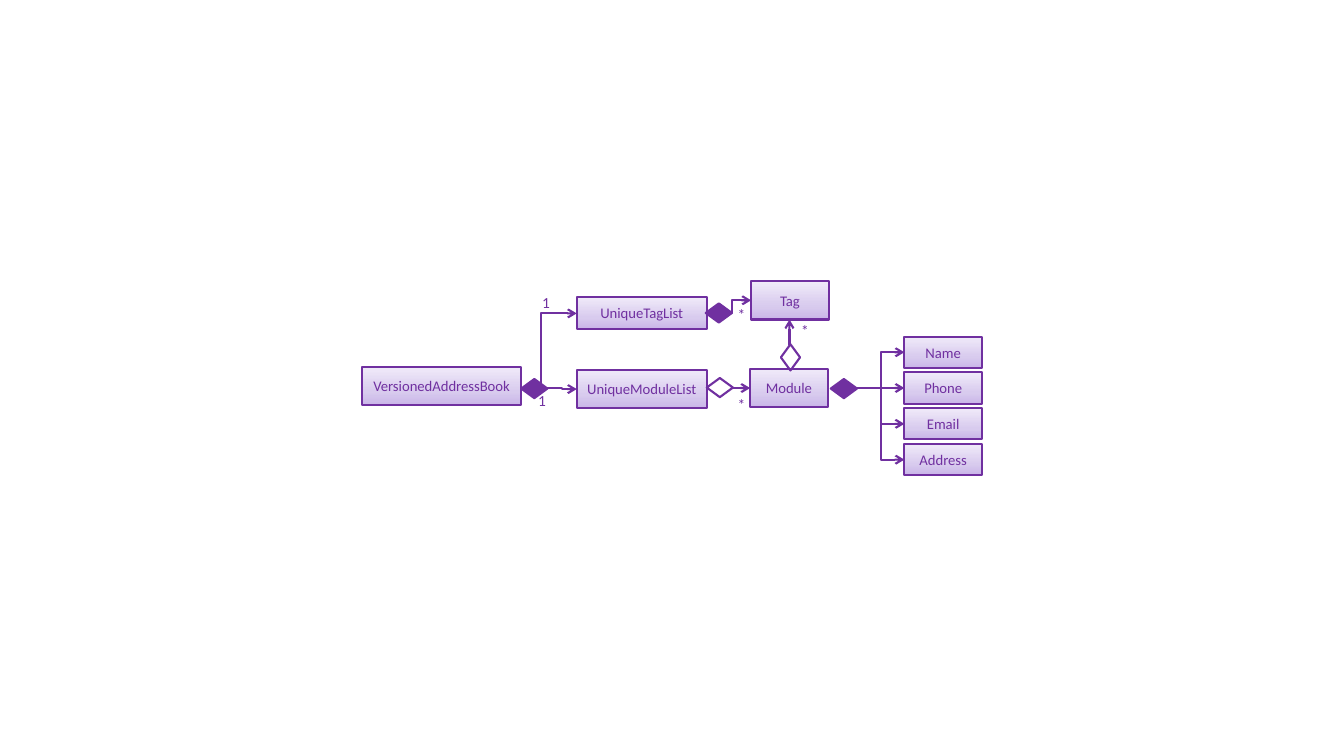
from copy import deepcopy

from lxml import etree
from pptx import Presentation
from pptx.dml.color import RGBColor
from pptx.enum import shapes, text
from pptx.oxml.ns import qn
from pptx.util import Inches, Pt

COLORS = {"purple": "7030A0", "low": "C9B5E8", "middle": "D8CBEE", "high": "F0EAF9"}
PURPLE = RGBColor.from_string(COLORS["purple"])
GRADIENT = [(0, "low"), (0.35, "middle"), (1, "high")]
FIELDS = ["Name", "Phone", "Email", "Address"]
FIELD_LEFT, FIELD_TOP, FIELD_STEP, FIELD_HEIGHT = 8.97, 3.34, 0.355, 0.31


def set_outline(shape):
    """Give a shape the purple outline and no shadow."""
    shape.line.color.rgb = PURPLE
    shape.line.width = Pt(1.5)
    shape.shadow.inherit = False


def write_text(frame, words, size):
    """Write one centred purple paragraph."""
    frame.word_wrap = False
    para = frame.paragraphs[0]
    para.text = words
    para.alignment = text.PP_ALIGN.CENTER
    para.font.name = "Calibri"
    para.font.size = Pt(size)
    para.font.color.rgb = PURPLE


deck = Presentation()
deck.slide_width, deck.slide_height = Inches(13.33), Inches(7.5)
page = deck.slides.add_slide(deck.slide_layouts[6])
diagram = page.shapes.add_group_shape().shapes

# Class boxes: name, left, top, width, height
classes = [
    ("VersionedAddressBook", 3.59, 3.64, 1.58, 0.38),
    ("UniqueModuleList", 5.72, 3.67, 1.29, 0.38),
    ("UniqueTagList", 5.72, 2.95, 1.29, 0.31),
    ("Module", 7.44, 3.66, 0.77, 0.38),
    ("Tag", 7.45, 2.79, 0.77, 0.38),
]
classes += [
    (field, FIELD_LEFT, FIELD_TOP + row * FIELD_STEP, 0.77, FIELD_HEIGHT)
    for row, field in enumerate(FIELDS)
]
for name, *bounds in classes:
    box = diagram.add_shape(shapes.MSO_SHAPE.RECTANGLE, *map(Inches, bounds))
    set_outline(box)
    box.fill.gradient()
    box.fill.gradient_angle = 90
    stop_list = box.fill.gradient_stops
    stops = box._element.spPr.find(".//" + qn("a:gsLst"))
    stops.append(deepcopy(stops[0]))
    for stop, (position, shade) in zip(stop_list, GRADIENT):
        stop.position = position
        stop.color.rgb = RGBColor.from_string(COLORS[shade])
    box.text_frame.vertical_anchor = text.MSO_ANCHOR.MIDDLE
    write_text(box.text_frame, name, 10.5)

# Links: start x, start y, end x, end y, bend position along the width
links = [
    (5.43, 3.85, 5.72, 3.86, 0.5),
    (7.27, 3.85, 7.44, 3.85, 0.5),
    (5.37, 3.88, 5.72, 3.11, 0),
    (7, 3.11, 7.45, 2.98, 0.575),
    (7.83, 3.42, 7.83, 3.17, None),
]
for row in range(len(FIELDS)):
    middle = FIELD_TOP + row * FIELD_STEP + FIELD_HEIGHT / 2
    links.append((8.5, 3.85, FIELD_LEFT, middle, 0.5))
for *ends, bend in links:
    kind = shapes.MSO_CONNECTOR.STRAIGHT if bend is None else shapes.MSO_CONNECTOR.ELBOW
    link = diagram.add_connector(kind, *map(Inches, ends))
    link.line.color.rgb = PURPLE
    link.line.width = Pt(1.5)
    properties = link._element.spPr
    etree.SubElement(properties.find(qn("a:ln")), qn("a:tailEnd"), type="arrow")
    etree.SubElement(properties, qn("a:effectLst"))
    if bend is not None:
        guides = properties.find(qn("a:prstGeom")).get_or_add_avLst()
        etree.SubElement(guides, qn("a:gd"), name="adj1", fmla=f"val {round(bend * 100000)}")

# Diamonds: left, top, filled (composition) or hollow (aggregation), rotation
diamonds = [
    (5.17, 3.76, True, 0),
    (7.01, 3.75, False, 0),
    (8.24, 3.76, True, 0),
    (7, 3.01, True, 0),
    (7.71, 3.45, False, 270),
]
for left, top, filled, rotation in diamonds:
    diamond = diagram.add_shape(
        shapes.MSO_SHAPE.FLOWCHART_DECISION,
        Inches(left), Inches(top), Inches(0.26), Inches(0.19))
    set_outline(diamond)
    diamond.rotation = rotation
    if filled:
        diamond.fill.solid()
        diamond.fill.fore_color.rgb = PURPLE
    else:
        diamond.fill.background()

# Multiplicities: words, left, top
multiplicities = [
    ("1", 5.27, 3.88), ("1", 5.31, 2.91),
    ("*", 7.25, 3.92), ("*", 7.25, 3.03), ("*", 7.88, 3.19),
]
for words, left, top in multiplicities:
    label = diagram.add_textbox(Inches(left), Inches(top), Inches(0.21), Inches(0.2))
    frame = label.text_frame
    frame.margin_left = frame.margin_right = frame.margin_top = frame.margin_bottom = 0
    write_text(frame, words, 11)
    frame.word_wrap = True

deck.save("out.pptx")
